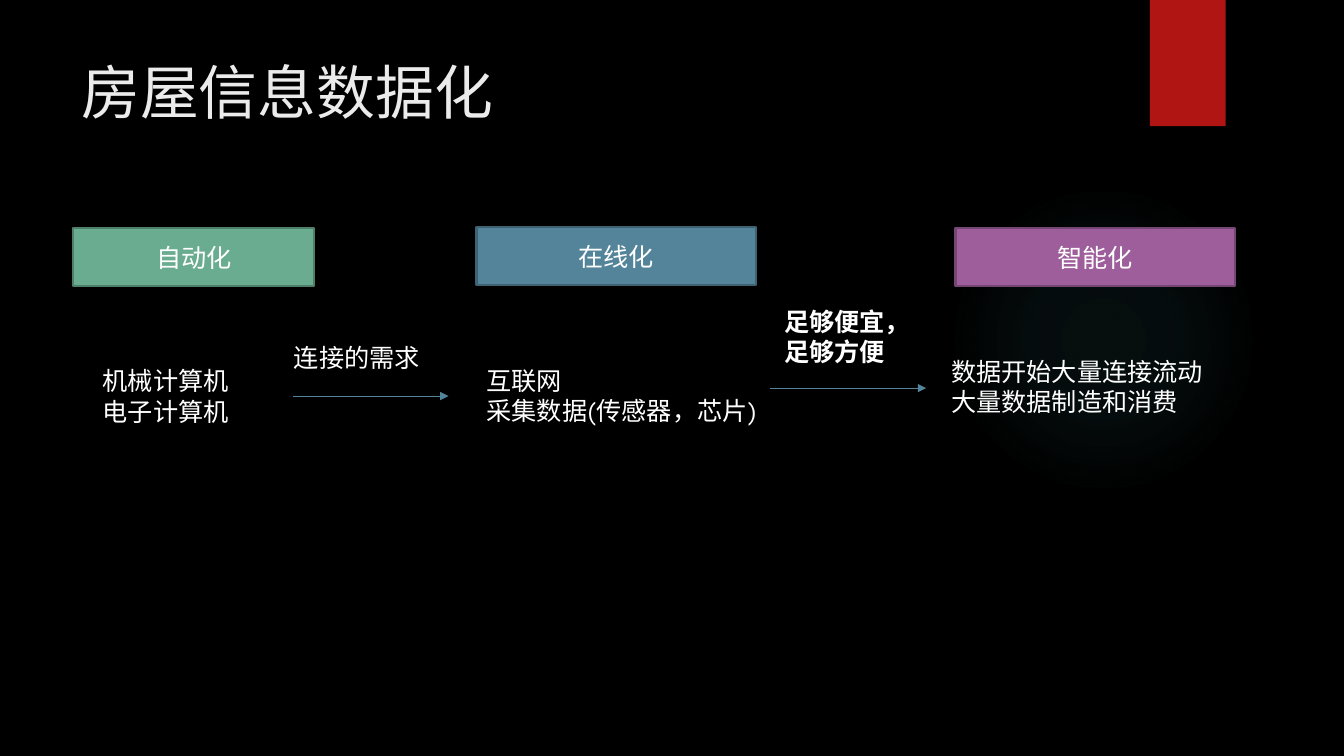
from lxml import etree
from pptx import Presentation
from pptx import util as u
from pptx.dml.color import RGBColor
from pptx.enum import shapes, text
from pptx.oxml import parse_xml
from pptx.oxml.ns import nsdecls, qn

BLACK = RGBColor(0x00, 0x00, 0x00)
WHITE = RGBColor(0xFF, 0xFF, 0xFF)
TITLE_GREY = RGBColor(0xEB, 0xEB, 0xEB)
RED = RGBColor(0xB0, 0x15, 0x13)
TEAL = RGBColor(0x50, 0xB9, 0xC1)
GREEN = RGBColor(0x6A, 0xAC, 0x90)
DARK_GREEN = RGBColor(0x4E, 0x7F, 0x6B)
BLUE = RGBColor(0x54, 0x84, 0x9A)
DARK_BLUE = RGBColor(0x3E, 0x62, 0x72)
PURPLE = RGBColor(0x9E, 0x5E, 0x9B)
DARK_PURPLE = RGBColor(0x75, 0x46, 0x73)

FONT = "TeX Gyre Adventor"


def write_text(frame, lines, size=18, color=WHITE, bold=False, align=text.PP_ALIGN.LEFT):
    for index, line in enumerate(lines):
        para = frame.paragraphs[0] if index == 0 else frame.add_paragraph()
        para.alignment = align
        span = para.add_run()
        span.text = line
        span.font.name = FONT
        span.font.size = u.Pt(size)
        span.font.bold = bold
        span.font.color.rgb = color


class SlideBuilder:
    def __init__(self, page):
        self.page = page
        page.background.fill.solid()
        page.background.fill.fore_color.rgb = BLACK

    def shape(self, kind, place, fill=None, line=None):
        box = self.page.shapes.add_shape(kind, *map(u.Cm, place))
        box.shadow.inherit = False
        if fill is not None:
            box.fill.solid()
            box.fill.fore_color.rgb = fill
        if line is None:
            box.line.fill.background()
        else:
            box.line.color.rgb = line
            box.line.width = u.Pt(1.5)
        return box

    def glow(self, place, color, stops):
        """Draw a circle that fades outwards; stops are (position, opacity) in percent."""
        circle = self.shape(shapes.MSO_SHAPE.OVAL, place, color)
        stop_xml = "".join(
            f'<a:gs pos="{position * 1000}"><a:srgbClr val="{color}">'
            f'<a:alpha val="{opacity * 1000}"/></a:srgbClr></a:gs>'
            for position, opacity in stops)
        gradient = parse_xml(
            f'<a:gradFill {nsdecls("a")}><a:gsLst>{stop_xml}</a:gsLst><a:path path="circle">'
            '<a:fillToRect l="50000" t="50000" r="50000" b="50000"/></a:path></a:gradFill>')
        properties = circle.fill._xPr
        properties.replace(properties.find(qn("a:solidFill")), gradient)

    def stage(self, place, label, fill, line):
        box = self.shape(shapes.MSO_SHAPE.RECTANGLE, place, fill, line)
        box.text_frame.vertical_anchor = text.MSO_ANCHOR.MIDDLE
        write_text(box.text_frame, [label], align=text.PP_ALIGN.CENTER)

    def text(self, place, *lines, wrap=False, **style):
        box = self.page.shapes.add_textbox(*map(u.Cm, place))
        box.text_frame.word_wrap = wrap
        write_text(box.text_frame, lines, **style)

    def arrow(self, left, right, top):
        line = self.page.shapes.add_connector(
            shapes.MSO_CONNECTOR.STRAIGHT, u.Cm(left), u.Cm(top), u.Cm(right), u.Cm(top))
        line.line.color.rgb = BLUE
        line.line.width = u.Pt(0.75)
        etree.SubElement(line.line._get_or_add_ln(), qn("a:tailEnd"), type="triangle")
        etree.SubElement(line._element.spPr, qn("a:effectLst"))


def main():
    deck = Presentation()
    deck.slide_width, deck.slide_height = u.Cm(33.87), u.Cm(19.05)
    slide = SlideBuilder(deck.slides.add_slide(deck.slide_layouts[6]))

    slide.glow((23.9, 4.65, 7.82, 7.82), TEAL, [(0, 7), (36, 6), (69, 0)])
    slide.shape(shapes.MSO_SHAPE.RECTANGLE, (28.98, 0, 1.91, 3.18), RED)
    slide.text((1.8, 1.27, 26.14, 3.89), "房屋信息数据化", wrap=True, size=42, color=TITLE_GREY)

    slide.stage((1.85, 5.74, 6.07, 1.47), "自动化", GREEN, DARK_GREEN)
    slide.stage((12.01, 5.72, 7.04, 1.47), "在线化", BLUE, DARK_BLUE)
    slide.stage((24.08, 5.74, 7.04, 1.47), "智能化", PURPLE, DARK_PURPLE)

    slide.text((2.34, 9.09, 3.71, 1.8), "机械计算机", "电子计算机")
    slide.text((12.01, 9.07, 7.39, 3.33), "互联网", "采集数据(传感器，芯片)", wrap=True)
    slide.text((23.72, 8.86, 6.93, 1.8), "数据开始大量连接流动", "大量数据制造和消费")

    slide.arrow(19.41, 23.34, 9.78)
    slide.text((19.51, 7.59, 3.71, 1.8), "足够便宜，", "足够方便", bold=True)
    slide.arrow(7.39, 11.3, 9.98)
    slide.text((7.16, 8.51, 3.71, 1.02), "连接的需求")

    deck.save("out.pptx")


if __name__ == "__main__":
    main()
